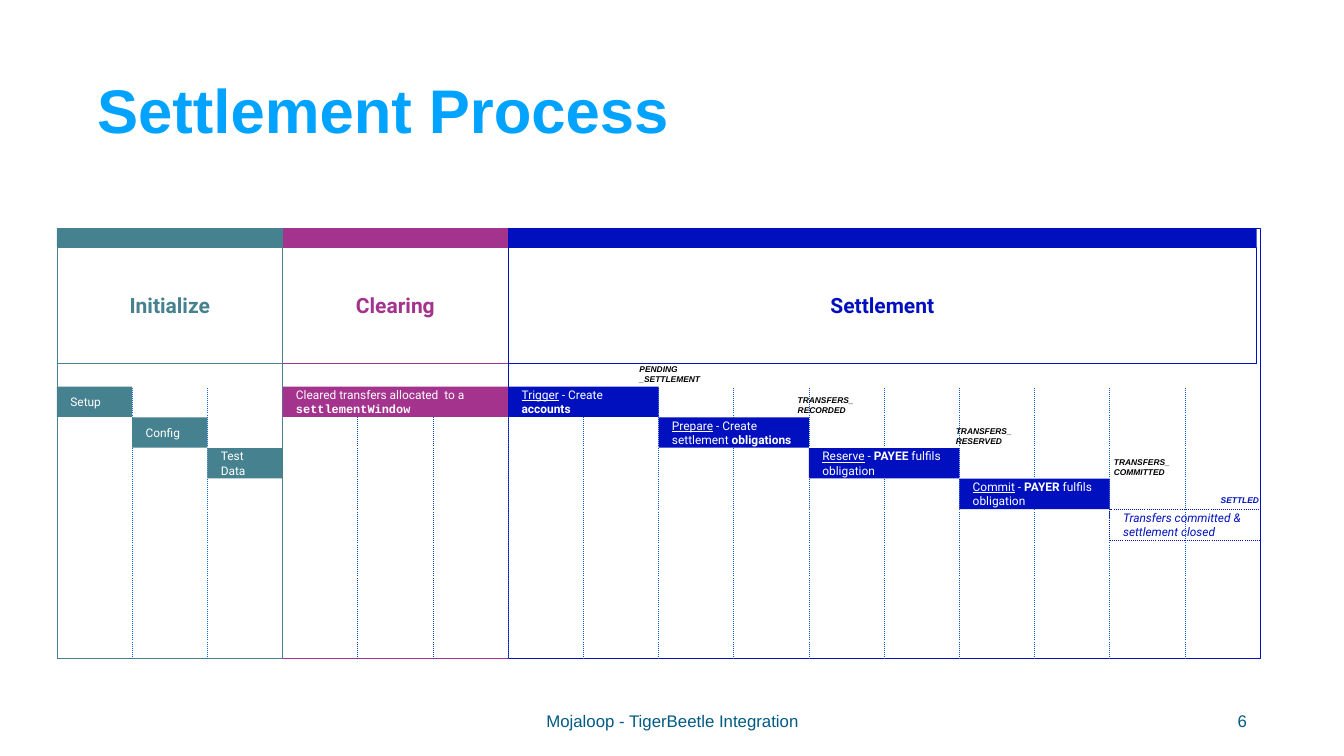
from lxml.etree import SubElement
from pptx import Presentation
from pptx.dml.color import RGBColor
from pptx.enum.dml import MSO_LINE
from pptx.enum.shapes import MSO_CONNECTOR, MSO_SHAPE
from pptx.enum.text import MSO_ANCHOR, PP_ALIGN
from pptx.oxml.ns import qn
from pptx.util import Pt

COLORS = {
    "title": "00A3FF",
    "footer": "005A83",
    "initialize": "45818E",
    "clearing": "A3338D",
    "settlement": "0010BE",
    "initialize_grid": "0E65F0",
    "clearing_grid": "0944A1",
    "settlement_grid": "0C58D3",
    "white": "FFFFFF",
    "black": "000000",
}

LEFT, TOP, BOTTOM = 81.4, 326.2, 940.8
COLUMN, ROW = 107.42, 43.9
BAND, HEADER = 26.6, 166.3
BAR_TOP, BAR_HEIGHT = 552.2, 43.4
STAGES = [("clearing", "Clearing", 3, 3, 0), ("settlement", "Settlement", 6, 10, 5),
          ("initialize", "Initialize", 0, 3, 0)]
BARS = [
    ("initialize", 0, 0, 1, ["Setup"]),
    ("initialize", 1, 1, 1, ["Config"]),
    ("initialize", 2, 2, 1, ["Test Data"]),
    ("clearing", 3, 0, 3, ["Cleared transfers allocated  to a ",
                           ("settlementWindow", {"font": "Courier New", "bold": True})]),
    ("settlement", 6, 0, 2, [("Trigger", {"underline": True}), " - Create ",
                             ("accounts", {"bold": True})]),
    ("settlement", 8, 1, 2, [("Prepare", {"underline": True}), " - Create settlement ",
                             ("obligations", {"bold": True})]),
    ("settlement", 10, 2, 2, [("Reserve", {"underline": True}), " - ",
                              ("PAYEE", {"bold": True}), " fulfils obligation"]),
    ("settlement", 12, 3, 2, [("Commit", {"underline": True}), " - ",
                              ("PAYER", {"bold": True}), " fulfils obligation"]),
]
STATES = [("PENDING\v_SETTLEMENT", 906.5, 175), ("TRANSFERS_RECORDED", 1132.5, 94.3),
          ("TRANSFERS_RESERVED", 1358.4, 94.3), ("TRANSFERS_COMMITTED", 1584.2, 94.3)]


def color(name):
    return RGBColor.from_string(COLORS[name])


def write(shape, spans, ink="black", size=17, font="Roboto", bold=False, italic=False,
          align=PP_ALIGN.LEFT, anchor=MSO_ANCHOR.MIDDLE, inset=(19.2, 19.2), spacing=None):
    frame = shape.text_frame
    frame.word_wrap = True
    frame.vertical_anchor = anchor
    frame.margin_left = frame.margin_right = Pt(inset[0])
    frame.margin_top = frame.margin_bottom = Pt(inset[1])
    para = frame.paragraphs[0]
    para.alignment = align
    if spacing:
        para.line_spacing = spacing
    for item in spans:
        text, style = (item, {}) if isinstance(item, str) else item
        for index, part in enumerate(text.split("\v")):
            if index:
                para.add_line_break()
            span = para.add_run()
            span.text = part
            span.font.name = style.get("font", font)
            span.font.size = Pt(size)
            span.font.bold = style.get("bold", bold)
            span.font.italic = italic
            span.font.underline = style.get("underline", False)
            span.font.color.rgb = color(ink)


class Painter:
    line_width = 0.75

    def __init__(self, page):
        self.page = page

    def outline(self, shape, ink, dotted=False):
        shape.line.color.rgb = color(ink)
        shape.line.width = Pt(self.line_width)
        if dotted:
            shape.line.dash_style = MSO_LINE.ROUND_DOT
            shape._element.spPr.find(".//" + qn("a:prstDash")).set("val", "dot")

    def box(self, left, top, width, height, fill=None, line=None, dotted=False):
        shape = self.page.shapes.add_shape(
            MSO_SHAPE.RECTANGLE, Pt(left), Pt(top), Pt(width), Pt(height))
        shape.shadow.inherit = False
        if fill:
            shape.fill.solid()
            shape.fill.fore_color.rgb = color(fill)
        else:
            shape.fill.background()
        if line:
            self.outline(shape, line, dotted)
        else:
            shape.line.fill.background()
        return shape

    def label(self, text, left, top, width, height, **style):
        box = self.page.shapes.add_textbox(Pt(left), Pt(top), Pt(width), Pt(height))
        write(box, [text], **style)

    def grid_line(self, x, ink):
        line = self.page.shapes.add_connector(
            MSO_CONNECTOR.STRAIGHT, Pt(x), Pt(BOTTOM), Pt(x), Pt(BAR_TOP))
        self.outline(line, ink, dotted=True)
        SubElement(line._element.spPr, qn("a:effectLst"))

    def stage(self, name, title, first, columns, trim):
        left, width = LEFT + first * COLUMN, columns * COLUMN
        self.box(left, TOP, width, BOTTOM - TOP, line=name)
        self.box(left, TOP, width - trim, BAND, fill=name)
        header = self.box(left, TOP + BAND, width - trim, HEADER, line=name)
        write(header, [title], ink=name, size=30, bold=True, align=PP_ALIGN.CENTER)
        for column in range(max(first, 1), first + columns):
            self.grid_line(LEFT + column * COLUMN, name + "_grid")

    def bar(self, column, row, columns, spans, fill=None, line=None, **style):
        box = self.box(LEFT + column * COLUMN, BAR_TOP + row * ROW, columns * COLUMN,
                       BAR_HEIGHT, fill=fill, line=line, dotted=bool(line))
        write(box, spans, **style)


def main():
    deck = Presentation()
    deck.slide_width, deck.slide_height = Pt(1920), Pt(1080)
    painter = Painter(deck.slides.add_slide(deck.slide_layouts[6]))

    painter.label("Settlement Process", 131.8, 57.6, 1267.2, 208.8, ink="title", size=88,
                  font="Arial", bold=True, inset=(7.2, 3.6), spacing=0.9)
    for stage in STAGES:
        painter.stage(*stage)
    for name, column, row, columns, spans in BARS:
        painter.bar(column, row, columns, spans, fill=name, ink="white")
    painter.bar(14, 4, 2, ["Transfers committed & settlement closed"],
                line="settlement", ink="settlement", italic=True)

    state_style = {"size": 12, "font": "Arial", "bold": True, "italic": True,
                   "anchor": MSO_ANCHOR.TOP, "inset": (7.2, 7.2)}
    for row, (text, left, width) in enumerate(STATES):
        painter.label(text, left, 513.4 + row * 44.2, width, 43.9, **state_style)
    painter.label("SETTLED", 1730.2, 699.8, 82.1, 28.8, ink="settlement",
                  align=PP_ALIGN.CENTER, **state_style)

    footer_style = {"ink": "footer", "size": 24, "font": "Arial", "inset": (7.2, 3.6)}
    painter.label("Mojaloop - TigerBeetle Integration", 511.2, 1000.8, 898.6, 57.6,
                  align=PP_ALIGN.CENTER, **footer_style)
    painter.label("6", 1356.5, 1000.8, 432, 57.6, align=PP_ALIGN.RIGHT, **footer_style)
    deck.save("out.pptx")


if __name__ == "__main__":
    main()
